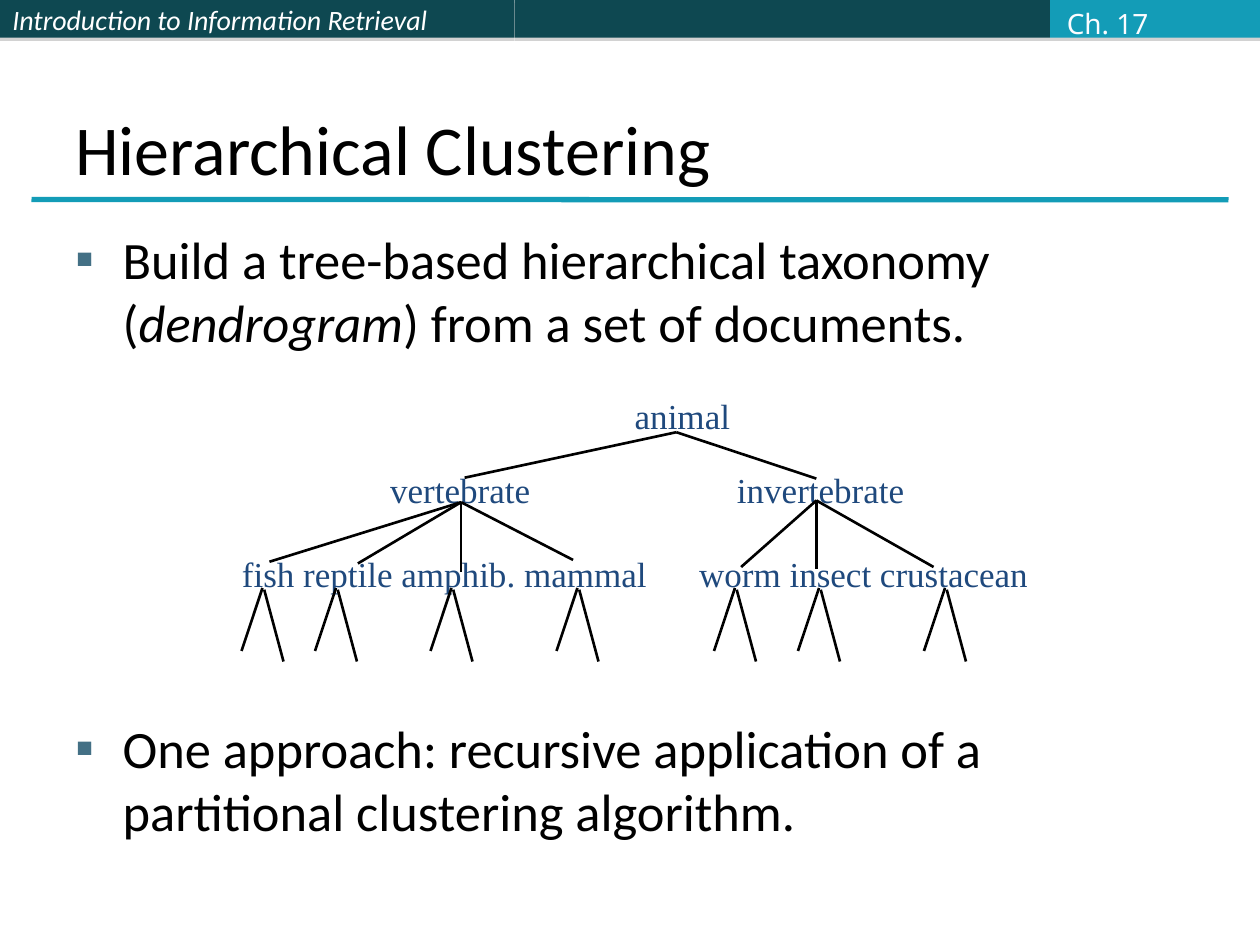
from lxml.etree import SubElement
from pptx import Presentation
from pptx.dml.color import RGBColor
from pptx.enum.shapes import MSO_CONNECTOR as CONN, MSO_SHAPE as SHAPE
from pptx.enum.text import MSO_ANCHOR as ANCHOR, PP_ALIGN as ALIGN
from pptx.oxml.ns import qn
from pptx.util import Pt

BLACK = RGBColor(0x00, 0x00, 0x00)
WHITE = RGBColor(0xFF, 0xFF, 0xFF)
PALE = RGBColor(0xFB, 0xFC, 0xFF)
DARK_TEAL = RGBColor(0x0E, 0x48, 0x51)
TEAL = RGBColor(0x13, 0x9C, 0xB7)
NAVY = RGBColor(0x1F, 0x49, 0x7D)
BULLET = RGBColor(0x43, 0x70, 0x85)

BAR_HEIGHT = 21.6
BARS = [(0, 294, DARK_TEAL), (294, 306, DARK_TEAL), (600, 120, TEAL)]
LABELS = [
    ("animal", 336, 222, 108),
    ("vertebrate", 212, 264, 102),
    ("invertebrate", 411, 264, 116),
    ("fish reptile amphib. mammal", 128, 312, 252),
    ("worm insect crustacean", 389, 312, 209),
]
BRANCHES = {
    (386.5, 247): [(265.5, 273), (466.5, 273.5)],
    (263.5, 287): [(154, 321), (204.5, 322), (263.5, 327), (327.5, 320)],
    (466.5, 286): [(423.5, 324), (466.5, 325), (533.5, 324)],
}
LEAF_XS = [150, 192, 258, 330, 420, 468, 540]
BULLETS = [
    [("Build a tree-based hierarchical taxonomy (", False), ("dendrogram", True),
     (") from a set of documents.", False)],
    [("One approach: recursive application of a partitional clustering algorithm.", False)],
]


def add_bar(slide, x, w, color):
    sp = slide.shapes.add_shape(SHAPE.RECTANGLE, Pt(x), 0, Pt(w), Pt(BAR_HEIGHT))
    sp.shadow.inherit = False
    sp.fill.solid()
    sp.fill.fore_color.rgb = color
    sp.line.fill.background()
    effects = sp._element.spPr.find(qn("a:effectLst"))
    shadow = SubElement(effects, qn("a:outerShdw"), blurRad="0", dist=str(Pt(1.8)),
                        dir="5400000", rotWithShape="0")
    tone = SubElement(shadow, qn("a:srgbClr"), val="808080")
    SubElement(tone, qn("a:alpha"), val="35000")


def add_line(slide, start, end, color=BLACK, width=1.5):
    cn = slide.shapes.add_connector(CONN.STRAIGHT, *map(Pt, start + end))
    cn.line.color.rgb = color
    cn.line.width = Pt(width)
    SubElement(cn._element.spPr, qn("a:effectLst"))


def add_run(p, text, *, size, font="Calibri", color=BLACK, italic=False):
    r = p.add_run()
    r.text = text
    r.font.name = font
    r.font.size = Pt(size)
    r.font.color.rgb = color
    r.font.italic = italic


def add_text(slide, text, x, y, w, h, *, align=ALIGN.LEFT, anchor=ANCHOR.TOP,
             wrap=True, **style):
    tf = slide.shapes.add_textbox(Pt(x), Pt(y), Pt(w), Pt(h)).text_frame
    tf.word_wrap = wrap
    tf.vertical_anchor = anchor
    p = tf.paragraphs[0]
    p.alignment = align
    if text:
        add_run(p, text, **style)
    return tf


def set_bullet(p):
    pPr = p._p.get_or_add_pPr()
    pPr.set("marL", str(Pt(27)))
    pPr.set("indent", str(Pt(-27)))
    color = SubElement(pPr, qn("a:buClr"))
    SubElement(color, qn("a:srgbClr"), val=str(BULLET))
    SubElement(pPr, qn("a:buFont"), typeface="Calibri")
    SubElement(pPr, qn("a:buChar"), char="▪")


def add_bullets(slide):
    tf = add_text(slide, "", 36, 126, 648, 390)
    for i, runs in enumerate(BULLETS):
        p = tf.add_paragraph() if i else tf.paragraphs[0]
        if i:
            p.space_before = Pt(207.5)
        set_bullet(p)
        for text, italic in runs:
            add_run(p, text, size=30, italic=italic)


def add_tree(slide):
    for text, x, y, w in LABELS:
        add_text(slide, text, x, y, w, 31.5, align=ALIGN.CENTER, wrap=False,
                 size=20, font="Times New Roman", color=NAVY)
    for parent, children in BRANCHES.items():
        for child in children:
            add_line(slide, parent, child)
    for x in LEAF_XS:
        add_line(slide, (x, 336), (x - 12, 372))
        add_line(slide, (x + 1, 337), (x + 12, 378))


def main():
    """Build the hierarchical clustering slide."""
    prs = Presentation()
    prs.slide_width, prs.slide_height = Pt(720), Pt(540)
    s = prs.slides.add_slide(prs.slide_layouts[6])
    for bar in BARS:
        add_bar(s, *bar)
    add_text(s, "Introduction to Information Retrieval", 0, 0, 294, BAR_HEIGHT,
             anchor=ANCHOR.MIDDLE, size=16, color=WHITE, italic=True)
    add_line(s, (18, 114), (702, 114.2), TEAL, 3)
    add_text(s, "Hierarchical Clustering", 36, 21.6, 648, 90,
             anchor=ANCHOR.BOTTOM, size=40)
    add_bullets(s)
    add_tree(s)
    add_text(s, "Ch. 17", 602.5, 0, 62, 26.5, anchor=ANCHOR.MIDDLE, wrap=False,
             size=16, font="Noto Sans", color=PALE)
    prs.save("out.pptx")


if __name__ == "__main__":
    main()
